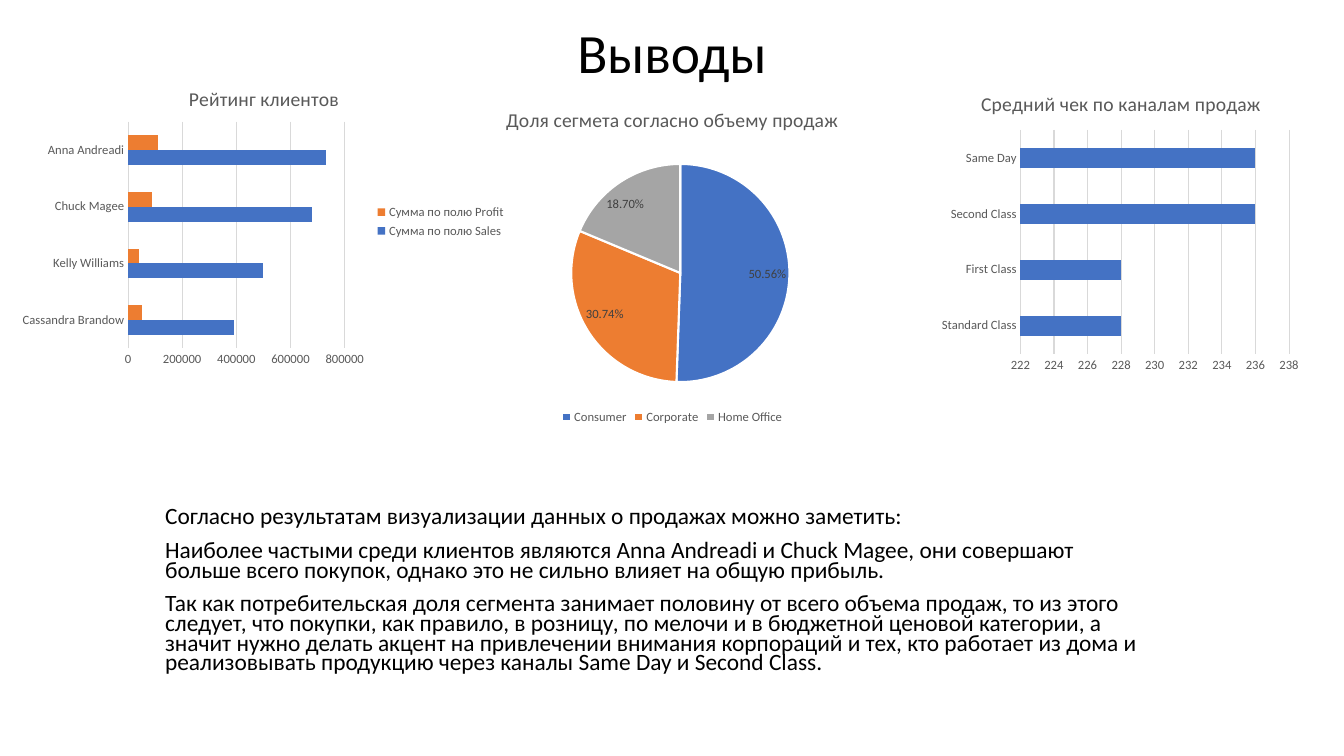
from collections import namedtuple
from lxml.etree import SubElement
from pptx import Presentation
from pptx.chart.data import CategoryChartData
from pptx.dml.color import RGBColor
from pptx.enum.chart import XL_CHART_TYPE, XL_LABEL_POSITION, XL_LEGEND_POSITION, XL_TICK_MARK
from pptx.enum.text import MSO_ANCHOR, PP_ALIGN
from pptx.oxml.ns import qn
from pptx.util import Inches, Pt

Theme = namedtuple("Theme", "face ink soft label grid paper fills title body head small hair")
theme = Theme(
    face="Calibri",
    ink=RGBColor.from_string("000000"),
    soft=RGBColor.from_string("595959"),
    label=RGBColor.from_string("404040"),
    grid=RGBColor.from_string("D9D9D9"),
    paper=RGBColor.from_string("FFFFFF"),
    fills=[RGBColor.from_string(c) for c in ("4472C4", "ED7D31", "A5A5A5")],
    title=Pt(39.6), body=Pt(16.7), head=Pt(14), small=Pt(9), hair=Pt(0.75),
)

deck = Presentation()
deck.slide_width, deck.slide_height = Inches(13.33), Inches(7.5)
slide = deck.slides.add_slide(deck.slide_layouts[6])


def place(left, top, width, height):
    """Turn shares of the slide, in percent, into lengths."""
    wide, high = deck.slide_width, deck.slide_height
    return [int(share * size / 100) for share, size in
            ((left, wide), (top, high), (width, wide), (height, high))]


def style(font, size, color):
    font.name, font.size, font.bold = theme.face, size, False
    font.color.rgb = color


# Title and findings
findings = [
    "Согласно результатам визуализации данных о продажах можно заметить:",
    "Наиболее частыми среди клиентов являются Anna Andreadi и Chuck Magee, они совершают "
    "больше всего покупок, однако это не сильно влияет на общую прибыль.",
    "Так как потребительская доля сегмента занимает половину от всего объема продаж, то из "
    "этого следует, что покупки, как правило, в розницу, по мелочи и в бюджетной ценовой "
    "категории, а значит нужно делать акцент на привлечении внимания корпораций и тех, кто "
    "работает из дома и реализовывать продукцию через каналы Same Day и Second Class.",
]
texts = [
    ((12.5, 2.1, 75, 9.9), ["Выводы"], theme.title, PP_ALIGN.CENTER, MSO_ANCHOR.BOTTOM, 0.9, 0),
    ((11.55, 66.7, 75, 24.1), findings, theme.body, PP_ALIGN.LEFT, MSO_ANCHOR.TOP, 0.7, 10),
]
for area, lines, size, align, anchor, pitch, gap in texts:
    frame = slide.shapes.add_textbox(*place(*area)).text_frame
    frame.word_wrap, frame.vertical_anchor = True, anchor
    frame.text = "\n".join(lines)
    for para in frame.paragraphs:
        para.alignment, para.line_spacing, para.space_before = align, pitch, Pt(gap)
        style(para.font, size, theme.ink)

# Charts: area, title, kind, categories, series, legend side, value scale, plot shares
bar, pie = XL_CHART_TYPE.BAR_CLUSTERED, XL_CHART_TYPE.PIE
charts = [
    ((0.9, 9.3, 37.5, 40), "Рейтинг клиентов", bar,
     ["Cassandra Brandow", "Kelly Williams", "Chuck Magee", "Anna Andreadi"],
     {"Сумма по полю Sales": [390000, 500000, 680000, 730000],
      "Сумма по полю Profit": [50000, 40000, 90000, 110000]},
     XL_LEGEND_POSITION.RIGHT, (0, 800000, 200000), (0.23, 0.17, 0.43, 0.75)),
    ((69.54, 10, 27.76, 40), "Средний чек по каналам продаж", bar,
     ["Standard Class", "First Class", "Second Class", "Same Day"],
     {"Средний чек": [228, 228, 236, 236]},
     None, (222, 238, 2), (0.23, 0.18, 0.72, 0.74)),
    ((30.23, 12, 39.6, 44.67), "Доля сегмета согласно объему продаж", pie,
     ["Consumer", "Corporate", "Home Office"],
     {"Доля": [0.5056, 0.3074, 0.187]},
     XL_LEGEND_POSITION.BOTTOM, None, (0.31, 0.21, 0.41, 0.66)),
]
for area, title, kind, names, series, side, scale, inner in charts:
    data = CategoryChartData()
    data.categories = names
    for name, values in series.items():
        data.add_series(name, values)
    chart = slide.shapes.add_chart(kind, *place(*area), data).chart
    style(chart.font, theme.small, theme.soft)

    chart.has_title = True
    chart.chart_title.include_in_layout = False
    chart.chart_title.text_frame.text = title
    style(chart.chart_title.text_frame.paragraphs[0].font, theme.head, theme.soft)

    chart.has_legend = side is not None
    if chart.has_legend:
        chart.legend.position = side
        chart.legend.include_in_layout = False
        style(chart.legend.font, theme.small, theme.soft)

    plot = chart.plots[0]
    area_xml = plot._element.getparent()
    for old in area_xml.findall(qn("c:layout")):
        area_xml.remove(old)
    layout = SubElement(area_xml, qn("c:layout"))
    area_xml.insert(0, layout)
    manual = SubElement(layout, qn("c:manualLayout"))
    marks = [("layoutTarget", "inner"), ("xMode", "edge"), ("yMode", "edge")]
    for tag, value in marks + list(zip("xywh", inner)):
        SubElement(manual, qn("c:" + tag)).set("val", str(value))

    plot.vary_by_categories = kind == pie
    if kind == pie:
        for spot, color in enumerate(theme.fills):
            wedge = plot.series[0].points[spot].format
            wedge.fill.solid()
            wedge.fill.fore_color.rgb = color
            wedge.line.color.rgb = theme.paper
            wedge.line.width = Pt(1.5)
        plot.has_data_labels = True
        labels = plot.data_labels
        labels.show_value, labels.show_percentage = True, False
        labels.number_format, labels.number_format_is_linked = "0.00%", False
        labels.position = XL_LABEL_POSITION.BEST_FIT
        style(labels.font, theme.small, theme.label)
        continue

    plot.gap_width, plot.overlap = 182, 0
    for row, color in zip(plot.series, theme.fills):
        row.format.fill.solid()
        row.format.fill.fore_color.rgb = color
    for axis in (chart.category_axis, chart.value_axis):
        axis.major_tick_mark = axis.minor_tick_mark = XL_TICK_MARK.NONE
        style(axis.tick_labels.font, theme.small, theme.soft)
    amount = chart.value_axis
    amount.minimum_scale, amount.maximum_scale, amount.major_unit = scale
    amount.format.line.fill.background()
    amount.has_major_gridlines = True
    for line in (chart.category_axis.format.line, amount.major_gridlines.format.line):
        line.color.rgb, line.width = theme.grid, theme.hair

deck.save("out.pptx")
